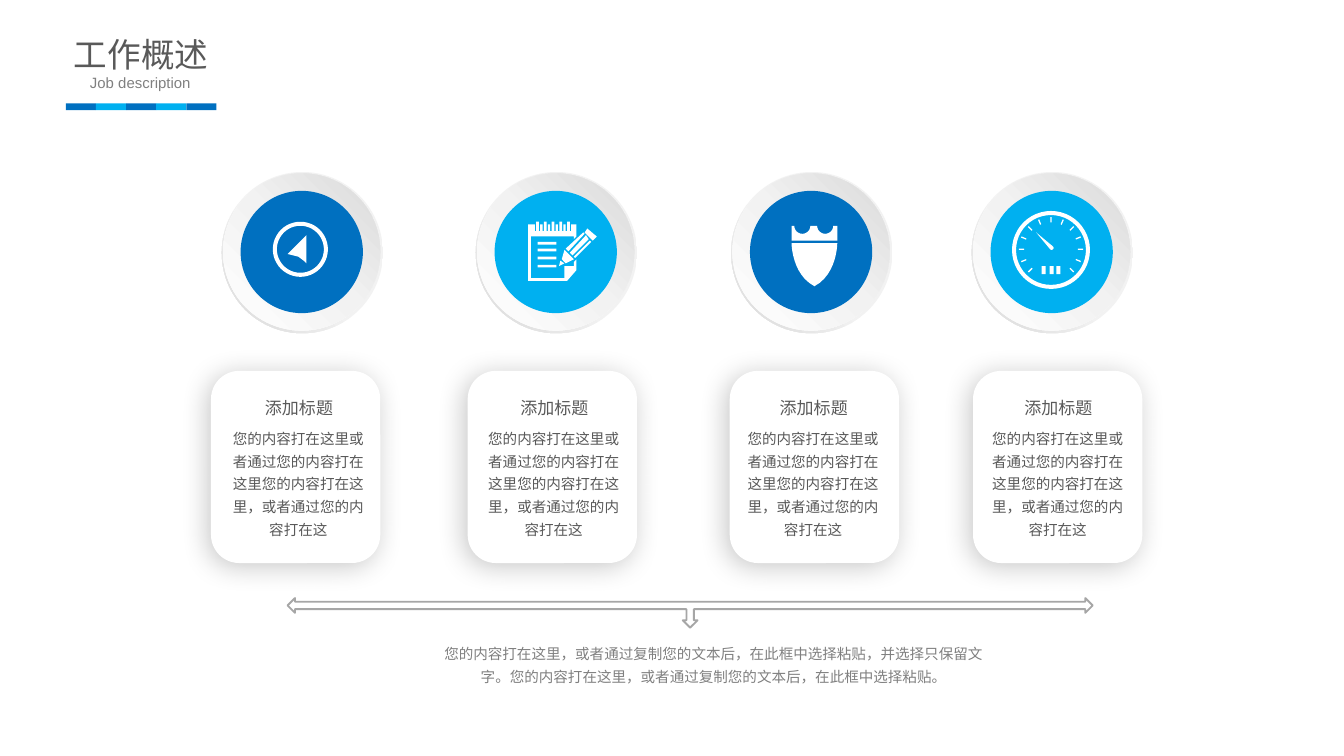
from dataclasses import dataclass
from math import cos, pi, radians, sin

from pptx import Presentation
from pptx.dml.color import RGBColor
from pptx.enum.shapes import MSO_SHAPE
from pptx.enum.text import MSO_ANCHOR, MSO_AUTO_SIZE, PP_ALIGN
from pptx.oxml import parse_xml
from pptx.oxml.ns import nsdecls, qn
from pptx.util import Inches, Pt

RECT = MSO_SHAPE.RECTANGLE
ROUND = MSO_SHAPE.ROUNDED_RECTANGLE
OVAL = MSO_SHAPE.OVAL
DONUT = MSO_SHAPE.DONUT
ARROW = MSO_SHAPE.LEFT_RIGHT_UP_ARROW
CENTER = PP_ALIGN.CENTER
TOP = MSO_ANCHOR.TOP
GROW = MSO_AUTO_SIZE.SHAPE_TO_FIT_TEXT


@dataclass(frozen=True)
class Theme:
    font: str = "Arial"
    white: str = "FFFFFF"
    pale: str = "F2F2F2"
    silver: str = "D9D9D9"
    line: str = "A6A6A6"
    dark: str = "595959"
    gray: str = "808080"
    blue: str = "0070C0"
    sky: str = "00B0F0"
    title: float = 18
    sub: float = 8
    head: float = 9.1
    body: float = 7.8


T = Theme()
WIDE = 10
TALL = WIDE * 9 / 16
BODY = "您的内容打在这里或者通过您的内容打在这里您的内容打在这里，或者通过您的内容打在这"
NOTE = ("您的内容打在这里，或者通过复制您的文本后，在此框中选择粘贴，并选择只保留文字。"
        "您的内容打在这里，或者通过复制您的文本后，在此框中选择粘贴。")


def paint(shape, color):
    shape.shadow.inherit = False
    shape.line.fill.background()
    shape.fill.solid()
    shape.fill.fore_color.rgb = RGBColor.from_string(color)
    return shape


def add_form(slide, kind, x, y, w, h, color=T.white):
    shape = slide.shapes.add_shape(kind, Inches(x), Inches(y), Inches(w), Inches(h))
    return paint(shape, color)


def add_poly(slide, points):
    """Draw a closed white outline through points given in inches."""
    dots = [(Inches(x), Inches(y)) for x, y in points]
    pen = slide.shapes.build_freeform(*dots[0])
    pen.add_line_segments(dots[1:], close=True)
    paint(pen.convert_to_shape(), T.white)


def shade(shape, stops, angle):
    """Fill a shape with a linear gradient of (percent, color) stops."""
    marks = "".join(f'<a:gs pos="{pos * 1000}"><a:srgbClr val="{color}"/></a:gs>'
                    for pos, color in stops)
    shape.fill.background()
    props = shape._element.spPr
    props.replace(props.find(qn("a:noFill")), parse_xml(
        f'<a:gradFill {nsdecls("a")} rotWithShape="1"><a:gsLst>{marks}</a:gsLst>'
        f'<a:lin ang="{angle * 60000}" scaled="0"/></a:gradFill>'))


def cast(shape):
    """Give a shape a soft shadow at its lower left."""
    shape._element.spPr.find(qn("a:effectLst")).append(parse_xml(
        f'<a:outerShdw {nsdecls("a")} blurRad="{Pt(15)}" dist="{Pt(3)}" '
        f'dir="{135 * 60000}" algn="tr" rotWithShape="0">'
        '<a:srgbClr val="000000"><a:alpha val="22000"/></a:srgbClr></a:outerShdw>'))


def write(shape, text, size, color, pad, space=1.0, wrap=True):
    frame = shape.text_frame
    frame.word_wrap = wrap
    frame.auto_size = GROW
    frame.vertical_anchor = TOP
    frame.margin_left = frame.margin_right = Inches(pad[0])
    frame.margin_top = frame.margin_bottom = Inches(pad[1])
    para = frame.paragraphs[0]
    para.alignment = CENTER
    para.line_spacing = space
    run = para.add_run()
    run.text = text
    run.font.name = T.font
    run.font.size = Pt(size)
    run.font.color.rgb = RGBColor.from_string(color)


def add_text(slide, x, y, w, h, *args):
    box = slide.shapes.add_textbox(Inches(x), Inches(y), Inches(w), Inches(h))
    write(box, *args)


def add_head(slide):
    title = slide.shapes.title
    title.left, title.top = Inches(0.47), Inches(0.21)
    title.width, title.height = Inches(1.16), Inches(0.38)
    write(title, "工作概述", T.title, T.dark, (0.07, 0.04), 1.0, False)
    add_text(slide, 0.08, 0.5, 1.93, 0.24, "Job description", T.sub, T.gray, (0.1, 0.05))
    step = 1.12 / 5
    for i in range(5):
        add_form(slide, RECT, 0.49 + i * step, 0.77, step, 0.05, (T.blue, T.sky)[i % 2])


def add_card(slide, left, text):
    cast(add_form(slide, ROUND, left, 2.76, 1.26, 1.43))
    add_text(slide, text, 3.13, 1.16, 0.92, BODY, T.body, T.dark, (0.06, 0.03), 1.3)
    add_text(slide, text + 0.11, 2.88, 0.95, 0.2, "添加标题", T.head, T.dark, (0.06, 0), 1.5)


def add_ring(slide, x, y, size, band):
    ring = add_form(slide, DONUT, x, y, size, size)
    ring.adjustments[0] = band / size
    return ring


def add_badge(slide, left, color):
    rim = add_ring(slide, left, 1.28, 1.2, 0.06)
    shade(rim, [(0, T.pale), (55, T.pale), (100, T.silver)], 135)
    disc = add_form(slide, OVAL, left + 0.01, 1.29, 1.17, 1.17)
    shade(disc, [(0, T.white), (51, T.pale), (100, T.silver)], 315)
    add_form(slide, OVAL, left + 0.14, 1.42, 0.91, 0.91, color)


def draw_compass(slide):
    add_ring(slide, 2.03, 1.65, 0.41, 0.03)
    add_poly(slide, [(2.28, 1.96), (2.28, 1.75), (2.14, 1.89), (2.22, 1.91), (2.26, 1.94)])


def draw_pad(slide):
    for strip in (
        [(4.27, 1.91), (4.28, 1.92), (4.4, 1.8), (4.39, 1.79)],
        [(4.36, 1.75), (4.24, 1.88), (4.26, 1.9), (4.38, 1.78)],
        [(4.21, 1.85), (4.23, 1.87), (4.35, 1.74), (4.34, 1.73)],
        [(4.27, 1.93), (4.2, 1.86), (4.18, 1.93), (4.21, 1.96)],
        [(4.16, 1.98), (4.2, 1.96), (4.17, 1.94)],
        [(4.37, 1.7), (4.35, 1.73), (4.41, 1.79), (4.44, 1.76)],
    ):
        add_poly(slide, strip)
    comb = []
    for i in range(5):
        x = 4.24 - i * 0.23 / 4
        comb += [(x + 0.01, 1.67), (x + 0.01, 1.72), (x, 1.72), (x, 1.65),
                 (x - 0.02, 1.65), (x - 0.02, 1.72), (x - 0.03, 1.72), (x - 0.03, 1.67)]
    inner = [(4.27, 1.98), (4.2, 1.98), (4.2, 2.07), (3.95, 2.07),
             (3.95, 1.76), (4.27, 1.76), (4.27, 1.78)]
    outer = [(3.93, 1.67), (3.93, 2.09), (4.22, 2.09), (4.29, 2.01),
             (4.29, 1.93), (4.27, 1.95)]
    add_poly(slide, inner + [(4.29, 1.76), (4.29, 1.67)] + comb + outer)
    for y in (1.8, 1.85, 1.91, 1.97):
        add_form(slide, RECT, 4, y, 0.14, 0.02)


def draw_shield(slide):
    mid, half = 6.06, 0.17
    side = []
    for i in range(13):
        t = i / 12
        side.append((half * (1 - (1 - t) ** 3),
                     2.13 * (1 - t) ** 3 + 6.12 * t * (1 - t) ** 2
                     + 5.43 * t * t * (1 - t) + 1.81 * t ** 3))
    add_poly(slide, [(mid + dx, y) for dx, y in side]
             + [(mid - dx, y) for dx, y in reversed(side)])
    dips = [(cx + 0.06 * cos(pi * i / 12), 1.68 + 0.06 * sin(pi * i / 12))
            for cx in (6.14, 5.97) for i in range(13)]
    add_poly(slide, [(mid + half, 1.68)] + dips
             + [(mid - half, 1.68), (mid - half, 1.79), (mid + half, 1.79)])


def draw_gauge(slide):
    add_ring(slide, 7.53, 1.57, 0.58, 0.03)
    for x in (7.75, 7.81, 7.86):
        add_form(slide, RECT, x, 1.98, 0.03, 0.06)
    add_poly(slide, [(7.71, 1.73), (7.81, 1.85), (7.83, 1.83)])
    add_form(slide, OVAL, 7.81, 1.83, 0.03, 0.03)
    for i in range(13):
        turn = 135 + i * 22.5
        x = 7.82 + 0.22 * cos(radians(turn))
        y = 1.85 + 0.22 * sin(radians(turn))
        add_form(slide, RECT, x - 0.02, y, 0.04, 0.01).rotation = turn


def main():
    deck = Presentation()
    deck.slide_width, deck.slide_height = Inches(WIDE), Inches(TALL)
    slide = deck.slides.add_slide(deck.slide_layouts[5])
    columns = [
        (1.57, 1.64, 1.65, T.blue, draw_compass),
        (3.48, 3.54, 3.54, T.sky, draw_pad),
        (5.43, 5.47, 5.44, T.blue, draw_shield),
        (7.24, 7.29, 7.23, T.sky, draw_gauge),
    ]
    for card, text, badge, color, draw in columns:
        add_card(slide, card, text)
        add_badge(slide, badge, color)
        draw(slide)
    add_text(slide, 3.22, 4.74, 4.18, 0.36, NOTE, T.body, T.gray, (0.04, 0.02), 1.3)
    arrow = add_form(slide, ARROW, 2.14, 4.45, 5.99, 0.22)
    arrow.rotation = 180
    arrow.fill.background()
    arrow.line.color.rgb = RGBColor.from_string(T.line)
    arrow.line.width = Pt(1)
    add_head(slide)
    deck.save("out.pptx")


if __name__ == "__main__":
    main()
